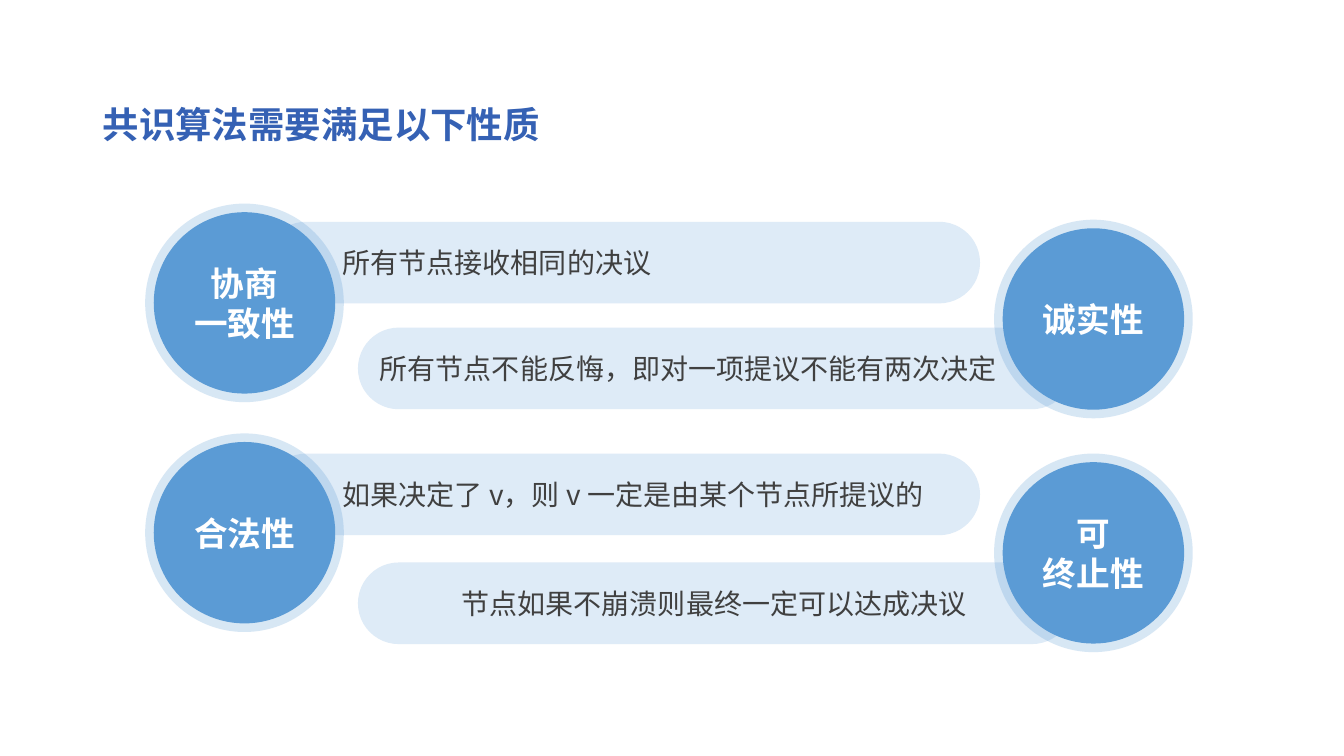
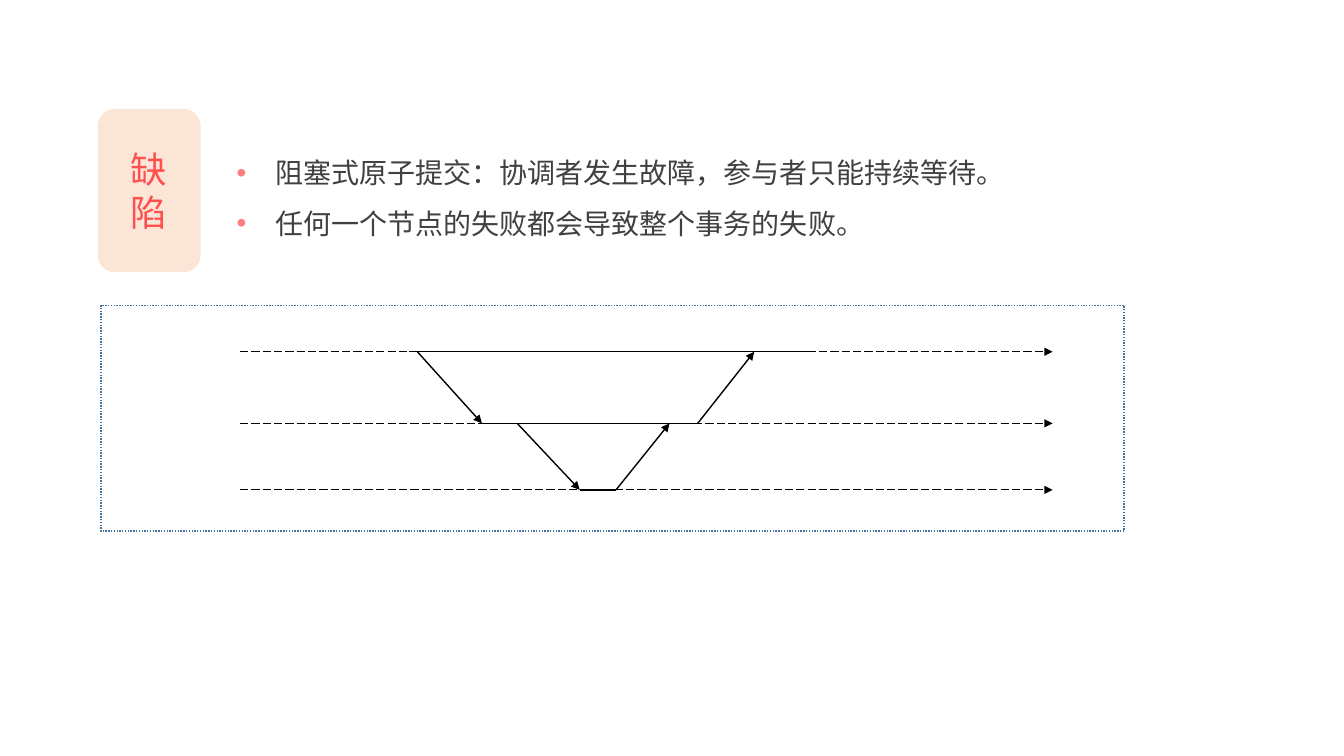
from lxml.etree import SubElement
from pptx import Presentation
from pptx.dml.color import RGBColor
from pptx.enum.dml import MSO_LINE
from pptx.enum.shapes import MSO_CONNECTOR, MSO_SHAPE
from pptx.enum.text import MSO_ANCHOR, PP_ALIGN
from pptx.oxml.ns import qn
from pptx.util import Inches, Pt

THEME = {
    "font": "Noto Sans CJK SC",
    "title": {"size": 26, "color": "3561B4", "bold": True},
    "body": {"size": 20, "color": "404040", "bold": False},
    "disc_label": {"size": 24, "color": "FFFFFF", "bold": True},
    "tag_label": {"size": 26, "color": "FF5050", "bold": False},
    "bar": "DEEBF7",
    "disc": "5B9BD5",
    "tag": "FBE5D6",
    "bullet": "FF7C80",
    "frame": "43739E",
    "timeline": "000000",
}


def write_text(shape, lines, style, align=PP_ALIGN.LEFT, anchor=MSO_ANCHOR.MIDDLE):
    frame = shape.text_frame
    frame.word_wrap = True
    frame.vertical_anchor = anchor
    frame.text = "\n".join(lines)
    for paragraph in frame.paragraphs:
        paragraph.alignment = align
        font = paragraph.runs[0].font
        text_format = {"name": THEME["font"], "size": Pt(style["size"]), "bold": style["bold"]}
        for attribute, value in text_format.items():
            setattr(font, attribute, value)
        font.color.rgb = RGBColor.from_string(style["color"])
        east_asian = SubElement(paragraph.runs[0]._r.get_or_add_rPr(), qn("a:ea"))
        east_asian.set("typeface", THEME["font"])
    return frame


def add_filled(slide, kind, left, top, width, height, color):
    """Add a preset shape with a flat fill and neither line nor shadow."""
    shape = slide.shapes.add_shape(kind, Inches(left), Inches(top), Inches(width), Inches(height))
    shape.shadow.inherit = False
    shape.fill.solid()
    shape.fill.fore_color.rgb = RGBColor.from_string(color)
    shape.line.fill.background()
    return shape


presentation = Presentation()
presentation.slide_width = Inches(13.33)
presentation.slide_height = Inches(7.5)
blank = presentation.slide_layouts[6]

# Properties of a consensus algorithm
properties_slide = presentation.slides.add_slide(blank)
title = properties_slide.shapes.add_textbox(Inches(0.92), Inches(0.96), Inches(6.95), Inches(0.54))
write_text(title, ["共识算法需要满足以下性质"], THEME["title"], anchor=MSO_ANCHOR.TOP)

HALO, DISC = 1.97, 1.8
SIDES = {"left": {"bar": 2.63, "halo": 1.44}, "right": {"bar": 3.55, "halo": 9.86}}
# side, bar top, halo top, text inset, disc label, description
properties = [
    ("left", 2.2, 2.02, 0.65, ["协商", "一致性"], "所有节点接收相同的决议"),
    ("right", 3.25, 2.18, 0.1, ["诚实性"], "所有节点不能反悔，即对一项提议不能有两次决定"),
    ("left", 4.5, 4.3, 0.65, ["合法性"], "如果决定了 v，则 v 一定是由某个节点所提议的"),
    ("right", 5.58, 4.5, 0.91, ["可", "终止性"], "节点如果不崩溃则最终一定可以达成决议"),
]
for side, bar_top, halo_top, inset, label, description in properties:
    bar = add_filled(properties_slide, MSO_SHAPE.ROUNDED_RECTANGLE,
                     SIDES[side]["bar"], bar_top, 7.09, 0.81, THEME["bar"])
    bar.adjustments[0] = 0.5
    write_text(bar, [description], THEME["body"]).margin_left = Inches(inset)

    halo_left = SIDES[side]["halo"]
    halo = add_filled(properties_slide, MSO_SHAPE.OVAL, halo_left, halo_top, HALO, HALO, THEME["disc"])
    halo_color = halo._element.spPr.find(qn("a:solidFill")).find(qn("a:srgbClr"))
    SubElement(halo_color, qn("a:alpha")).set("val", "24000")

    rim = (HALO - DISC) / 2
    disc = add_filled(properties_slide, MSO_SHAPE.OVAL,
                      halo_left + rim, halo_top + rim, DISC, DISC, THEME["disc"])
    write_text(disc, label, THEME["disc_label"], PP_ALIGN.CENTER)

# Drawbacks of blocking commit
drawbacks_slide = presentation.slides.add_slide(blank)
drawbacks = drawbacks_slide.shapes.add_textbox(Inches(2.25), Inches(1.33), Inches(9.07), Inches(1.05))
drawbacks_frame = write_text(
    drawbacks,
    ["阻塞式原子提交：协调者发生故障，参与者只能持续等待。", "任何一个节点的失败都会导致整个事务的失败。"],
    THEME["body"], anchor=MSO_ANCHOR.TOP)
for paragraph in drawbacks_frame.paragraphs:
    paragraph.line_spacing = 1.5
    properties_xml = paragraph._p.get_or_add_pPr()
    properties_xml.set("marL", str(Inches(0.38)))
    properties_xml.set("indent", str(-Inches(0.38)))
    bullet_color = SubElement(properties_xml, qn("a:buClr"))
    SubElement(bullet_color, qn("a:srgbClr")).set("val", THEME["bullet"])
    SubElement(properties_xml, qn("a:buFont")).set("typeface", "Arial")
    SubElement(properties_xml, qn("a:buChar")).set("char", "•")

diagram_frame = add_filled(drawbacks_slide, MSO_SHAPE.RECTANGLE, 1, 3.03, 10.15, 2.24, "FFFFFF")
diagram_frame.fill.background()
diagram_frame.line.color.rgb = RGBColor.from_string(THEME["frame"])
diagram_frame.line.width = Pt(1)
diagram_frame.line.dash_style = MSO_LINE.ROUND_DOT

COORDINATOR, PARTICIPANT, LEAF = 3.49, 4.2, 4.86
timelines = [((2.38, row), (10.44, row), "timeline") for row in (COORDINATOR, PARTICIPANT, LEAF)]
activities = [
    ((4.06, COORDINATOR), (8.02, COORDINATOR), "activity"),
    ((4.14, COORDINATOR), (4.78, PARTICIPANT), "message"),
    ((4.78, PARTICIPANT), (6.92, PARTICIPANT), "activity"),
    ((6.92, PARTICIPANT), (7.48, COORDINATOR), "message"),
    ((5.13, PARTICIPANT), (5.75, LEAF), "message"),
    ((5.75, LEAF), (6.11, LEAF), "activity"),
    ((6.11, LEAF), (6.64, PARTICIPANT), "message"),
]
for start, end, role in timelines + activities:
    connector = drawbacks_slide.shapes.add_connector(
        MSO_CONNECTOR.STRAIGHT, *[Inches(value) for value in start + end])
    connector.line.color.rgb = RGBColor.from_string(THEME["timeline"])
    connector.line.width = Pt(0.75 if role == "timeline" else 1)
    if role == "timeline":
        connector.line.dash_style = MSO_LINE.LONG_DASH
    if role != "activity":
        SubElement(connector.line._get_or_add_ln(), qn("a:tailEnd")).set("type", "triangle")
    SubElement(connector._element.spPr, qn("a:effectLst"))

tag = add_filled(drawbacks_slide, MSO_SHAPE.ROUNDED_RECTANGLE, 0.97, 1.08, 1.02, 1.62, THEME["tag"])
tag_frame = write_text(tag, ["缺陷"], THEME["tag_label"], PP_ALIGN.CENTER)
# Wide side margins leave room for one character per line
tag_frame.margin_left = tag_frame.margin_right = Inches(0.15)

presentation.save("out.pptx")
